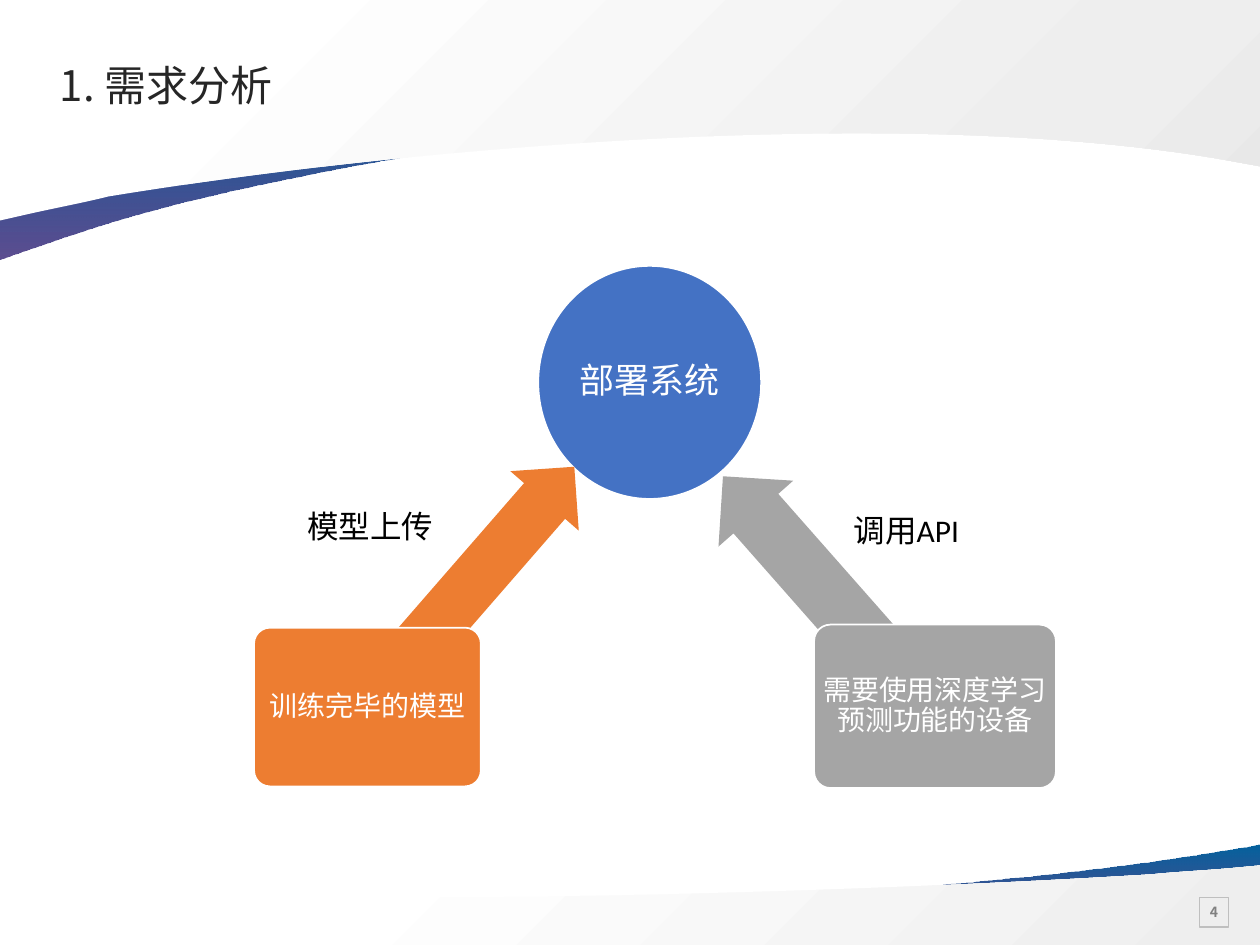
import pptx
import pptx.util
import pptx.dml.color
import pptx.enum.shapes
import pptx.enum.text
import pptx.oxml
import pptx.oxml.ns
from dataclasses import dataclass

Pt = pptx.util.Pt
Shape = pptx.enum.shapes.MSO_SHAPE
Align = pptx.enum.text.PP_ALIGN
Anchor = pptx.enum.text.MSO_ANCHOR
NAMESPACE = pptx.oxml.ns.nsdecls("a")


@dataclass(frozen=True)
class Theme:
    body_font: str = "Calibri"
    heading_font: str = "Noto Sans CJK SC"
    white: str = "FFFFFF"
    black: str = "000000"
    title: str = "262626"
    number: str = "808080"
    frame: str = "BFBFBF"
    blue: str = "4472C4"
    orange: str = "ED7D31"
    grey: str = "A5A5A5"
    title_size: int = 24
    hub_size: int = 20
    label_size: int = 18
    node_size: int = 16
    number_size: int = 8


theme = Theme()
PAGE_SIZE = (720, 540)

RIBBON = (90, [(0, "04619D", 100), (100, "342275", 80)])
FOOTER_SHADE = (45, [(26, "FFFFFF", 100), (100, "EEEEEE", 100)])
HEADER_SHADE = (45, [(17, "FFFFFF", 100), (81, "EEEEEE", 100), (100, "E8E8E8", 100)])

WAVES = [
    (RIBBON, [
        [(720, 482.4)], [(720, 529.2)], [(0, 529.2)], [(0, 509.8)], [(0.7, 509.8)],
        [(162.7, 533.5), (442.8, 516.2), (604.1, 499)],
        [(636.5, 495.4), (673.2, 490.3), (712.1, 483.8)],
    ]),
    (FOOTER_SHADE, [
        [(720, 494.6)], [(720, 512.6)], [(720, 514.8)], [(720, 540)],
        [(0, 540)], [(0, 514.8)], [(0, 512.6)], [(0, 506.2)], [(23.8, 507.6)],
        [(211.7, 519.1), (491.8, 509.8), (658.1, 499.7)],
        [(672.5, 498.2), (688.3, 497.5), (704.2, 496.1)],
    ]),
    (RIBBON, [
        [(0, 148.3)], [(0, 47.5)], [(720, 47.5)], [(720, 89.3)], [(719.3, 88.6)],
        [(557.3, 38.2), (277.2, 74.2), (115.9, 113)],
        [(83.5, 120.2), (46.8, 131.8), (7.9, 145.4)],
    ]),
    (HEADER_SHADE, [
        [(0, 126)], [(0, 75.6)], [(0, 71.3)], [(0, 0)],
        [(720, 0)], [(720, 71.3)], [(720, 75.6)], [(720, 95)], [(696.2, 90.7)],
        [(508.3, 59), (228.2, 85), (61.9, 112.3)],
        [(47.5, 115.9), (31.7, 118.8), (15.8, 122.4)],
    ]),
]

HUB = ("部署系统", (307.6, 151.9, 127.4, 133.2))

BRANCHES = [
    {"text": "训练完毕的模型", "color": theme.orange, "place": (145.2, 358.7, 129.6, 90.7),
     "arrow": (186.9, 305.2, 170.6, 51.8), "rotation": 131},
    {"text": "需要使用深度学习预测功能的设备", "color": theme.grey,
     "place": (465.2, 356.9, 138.2, 93.4),
     "arrow": (384.1, 308, 171.4, 56.9), "rotation": 48.6},
]

LABELS = [
    ("调用API", (480.7, 288.7, 75.6, 29.1)),
    ("模型上传", (168.6, 286.2, 87.2, 29.1)),
]


def rgb(value):
    return pptx.dml.color.RGBColor.from_string(value)


def write_text(box, text, size, color, font=theme.body_font, bold=False, align=Align.LEFT,
               anchor=Anchor.TOP, insets=(7.2, 3.6, 7.2, 3.6), spacing=1.0):
    frame = box.text_frame
    frame.word_wrap = True
    frame.vertical_anchor = anchor
    (frame.margin_left, frame.margin_top,
     frame.margin_right, frame.margin_bottom) = map(Pt, insets)
    para = frame.paragraphs[0]
    para.alignment = align
    para.line_spacing = spacing
    span = para.add_run()
    span.text = text
    span.font.name = font
    span.font.size = Pt(size)
    span.font.bold = bold
    span.font.color.rgb = rgb(color)
    east_asian = pptx.oxml.parse_xml(f'<a:ea {NAMESPACE} typeface="{theme.heading_font}"/>')
    span.font._element.find(pptx.oxml.ns.qn("a:latin")).addnext(east_asian)


def add_shape(page, kind, place, fill=None, line=None, width=1):
    shape = page.shapes.add_shape(kind, *map(Pt, place))
    shape.shadow.inherit = False
    if fill:
        shape.fill.solid()
        shape.fill.fore_color.rgb = rgb(fill)
    else:
        shape.fill.background()
    if line:
        shape.line.color.rgb = rgb(line)
        shape.line.width = Pt(width)
    else:
        shape.line.fill.background()
    return shape


def bend_segments(wave, steps):
    segments = list(wave._element.iter(pptx.oxml.ns.qn("a:lnTo")))
    for segment, step in zip(segments, steps[1:]):
        if len(step) == 3:
            points = "".join(f'<a:pt x="{Pt(x) - wave.left}" y="{Pt(y) - wave.top}"/>'
                             for x, y in step)
            curve = pptx.oxml.parse_xml(
                f'<a:cubicBezTo {NAMESPACE}>{points}</a:cubicBezTo>')
            segment.getparent().replace(segment, curve)


def add_wave(page, gradient, steps):
    ends = [tuple(map(Pt, step[-1])) for step in steps]
    builder = page.shapes.build_freeform(*ends[0])
    builder.add_line_segments(ends[1:], close=True)
    wave = builder.convert_to_shape()
    bend_segments(wave, steps)
    wave.shadow.inherit = False
    wave.line.fill.background()
    angle, stops = gradient
    stop_xml = "".join(
        f'<a:gs pos="{position * 1000}"><a:srgbClr val="{color}">'
        f'<a:alpha val="{opacity * 1000}"/></a:srgbClr></a:gs>'
        for position, color, opacity in stops)
    fill = pptx.oxml.parse_xml(
        f'<a:gradFill {NAMESPACE} rotWithShape="1"><a:gsLst>{stop_xml}</a:gsLst>'
        f'<a:lin ang="{angle * 60000}" scaled="0"/></a:gradFill>')
    wave._element.spPr.find(pptx.oxml.ns.qn("a:custGeom")).addnext(fill)


def add_label(page, text, place, **style):
    write_text(page.shapes.add_textbox(*map(Pt, place)), text, **style)


def add_node(page, kind, text, place, color, size):
    node = add_shape(page, kind, place, color, line=theme.white)
    write_text(node, text, size, theme.white, align=Align.CENTER, anchor=Anchor.MIDDLE,
               insets=(1.5, 2, 1.5, 2), spacing=0.9)
    return node


def main():
    deck = pptx.Presentation()
    deck.slide_width, deck.slide_height = map(Pt, PAGE_SIZE)
    page = deck.slides.add_slide(deck.slide_layouts[6])

    for gradient, steps in WAVES:
        add_wave(page, gradient, steps)

    number = add_shape(page, Shape.RECTANGLE, (685.4, 512.8, 16.6, 17),
                       line=theme.frame, width=0.75)
    write_text(number, "4", theme.number_size, theme.number, font=theme.heading_font,
               bold=True, align=Align.CENTER, anchor=Anchor.MIDDLE, insets=(0,) * 4)
    add_label(page, "1. 需求分析", (28.5, 29.5, 233.3, 41.8), size=theme.title_size,
              color=theme.title, font=theme.heading_font, anchor=Anchor.MIDDLE,
              insets=(5.8, 5.8, 0, 5.8), spacing=0.9)

    add_node(page, Shape.OVAL, *HUB, theme.blue, theme.hub_size)
    for branch in BRANCHES:
        arrow = add_shape(page, Shape.LEFT_ARROW, branch["arrow"], branch["color"])
        arrow.rotation = branch["rotation"]
        arrow.adjustments[0] = 0.6
        arrow.adjustments[1] = 0.5
        node = add_node(page, Shape.ROUNDED_RECTANGLE, branch["text"], branch["place"],
                        branch["color"], theme.node_size)
        node.adjustments[0] = 0.1

    for text, place in LABELS:
        add_label(page, text, place, size=theme.label_size, color=theme.black)

    deck.save("out.pptx")


if __name__ == "__main__":
    main()
